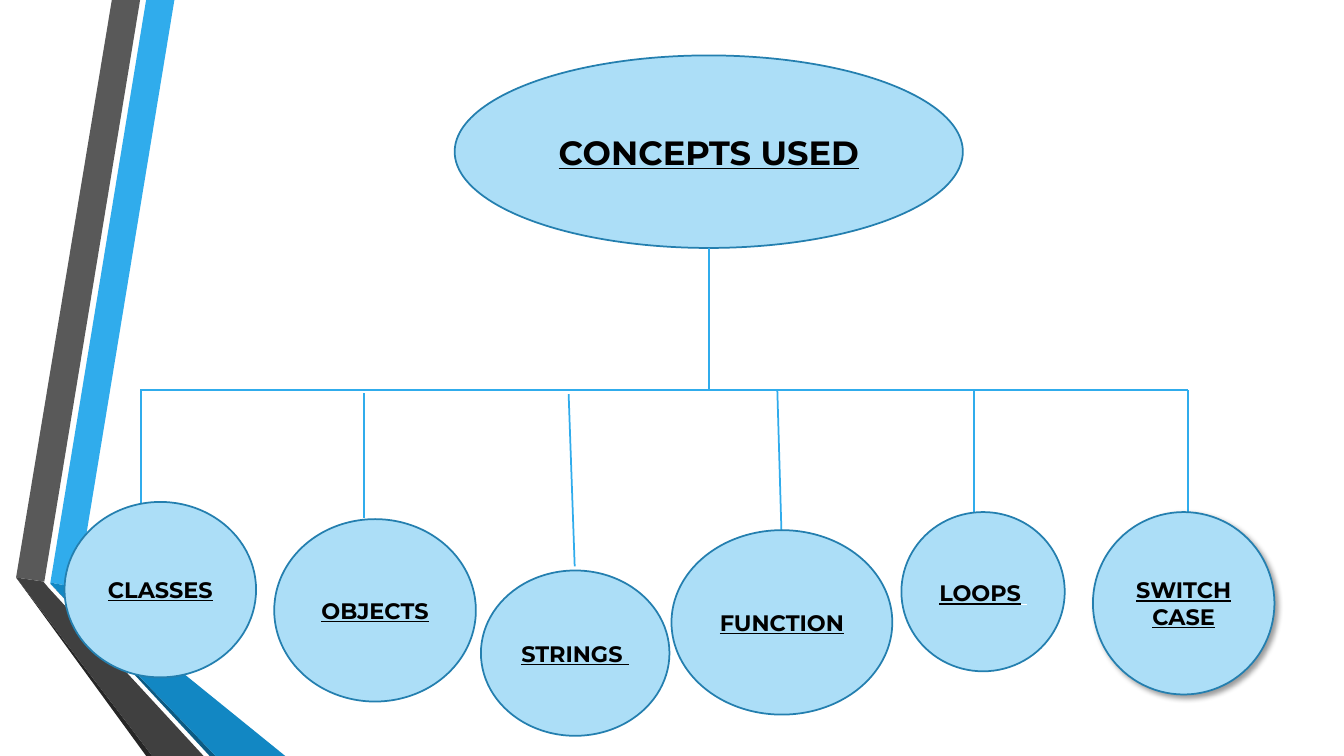
from dataclasses import dataclass

from lxml import etree
from pptx import Presentation
from pptx import util as u
from pptx.dml.color import RGBColor
from pptx.enum import shapes, text
from pptx.oxml import ns

ACCENT = "30ACEC"
BUBBLE_FILL = "ACDEF7"
BUBBLE_LINE = "247FAF"
BAR_Y = 3.87

Point = tuple[float, float]


@dataclass
class Ribbon:
    color: str
    points: list[Point]


@dataclass
class Bubble:
    label: str
    left: float
    top: float
    width: float
    height: float
    size: int = 16
    shadow: bool = False


@dataclass
class Line:
    start: Point
    end: Point
    width: float = 1.25


RIBBONS = [
    Ribbon(ACCENT, [(0.5, 5.78), (0.77, 5.83), (1.73, 0), (1.45, 0)]),
    Ribbon("595959", [(1.39, 0), (1.11, 0), (0.16, 5.73), (0.44, 5.77)]),
    Ribbon("262626", [(0.16, 5.73), (1.45, 7.5), (1.51, 7.5)]),
    Ribbon("0C5A82", [(0.5, 5.79), (2.08, 7.5), (2.14, 7.5)]),
    Ribbon("1287C3", [(0.5, 5.79), (2.14, 7.5), (2.83, 7.5), (0.77, 5.83), (0.5, 5.78)]),
    Ribbon("404040", [(2.02, 7.5), (0.48, 5.83), (0.43, 5.77), (0.16, 5.73), (1.51, 7.5)]),
]

ROOT = Bubble("CONCEPTS USED", 4.51, 0.55, 5.04, 1.91, size=24)
LOOPS = Bubble("LOOPS", 8.94, 5.08, 1.62, 1.58)
CONCEPTS = [
    Bubble("CLASSES", 0.64, 4.98, 1.9, 1.74),
    Bubble("OBJECTS", 2.72, 5.15, 2, 1.81),
    Bubble("STRINGS ", 4.77, 5.66, 1.87, 1.64),
    Bubble("FUNCTION", 6.66, 5.26, 2.19, 1.83),
    LOOPS,
    Bubble("SWITCH CASE", 10.84, 5.08, 1.8, 1.81, shadow=True),
]

LINES = [
    Line((7.03, 2.46), (7.03, 3.88), width=1.75),
    Line((1.39, BAR_Y), (11.78, BAR_Y)),
    Line((1.4, BAR_Y), (1.4, 4.99)),
    Line((3.61, 3.9), (3.61, 5.14)),
    Line((5.64, 3.91), (5.7, 5.62)),
    Line((7.71, 3.88), (7.75, 5.26)),
    Line((9.66, BAR_Y), (9.66, 5.11)),
    Line((11.78, BAR_Y), (11.78, 5.11)),
]


def rgb(color: str) -> RGBColor:
    return RGBColor.from_string(color)


def add_text(paragraph, content: str, *, size: int, font: str = "Montserrat",
             color: str = "000000") -> None:
    run = paragraph.add_run()
    run.text = content
    run.font.name = font
    run.font.size = u.Pt(size)
    run.font.bold = True
    run.font.underline = True
    run.font.color.rgb = rgb(color)


def add_drop_shadow(shape) -> None:
    effects = shape._element.spPr.find(ns.qn("a:effectLst"))
    shadow = etree.SubElement(effects, ns.qn("a:outerShdw"), blurRad=str(u.Pt(4)),
                              dist=str(u.Pt(3)), dir="2700000", algn="tl", rotWithShape="0")
    color = etree.SubElement(shadow, ns.qn("a:srgbClr"), val="000000")
    etree.SubElement(color, ns.qn("a:alpha"), val="40000")


def add_ribbon(slide, ribbon: Ribbon) -> None:
    first, *rest = [(u.Inches(x), u.Inches(y)) for x, y in ribbon.points]
    builder = slide.shapes.build_freeform(*first)
    builder.add_line_segments(rest, close=True)
    shape = builder.convert_to_shape()
    shape.shadow.inherit = False
    shape.fill.solid()
    shape.fill.fore_color.rgb = rgb(ribbon.color)
    shape.line.fill.background()


def add_line(slide, line: Line) -> None:
    ends = [u.Inches(value) for value in (*line.start, *line.end)]
    connector = slide.shapes.add_connector(shapes.MSO_CONNECTOR.STRAIGHT, *ends)
    connector.line.color.rgb = rgb(ACCENT)
    connector.line.width = u.Pt(line.width)
    etree.SubElement(connector._element.spPr, ns.qn("a:effectLst"))


def add_bubble(slide, bubble: Bubble):
    """Draw a labelled ellipse and return its paragraph."""
    box = [u.Inches(value) for value in (bubble.left, bubble.top, bubble.width, bubble.height)]
    shape = slide.shapes.add_shape(shapes.MSO_SHAPE.OVAL, *box)
    shape.shadow.inherit = False
    shape.fill.solid()
    shape.fill.fore_color.rgb = rgb(BUBBLE_FILL)
    shape.line.color.rgb = rgb(BUBBLE_LINE)
    shape.line.width = u.Pt(1.25)
    if bubble.shadow:
        add_drop_shadow(shape)
    frame = shape.text_frame
    frame.word_wrap = True
    frame.vertical_anchor = text.MSO_ANCHOR.MIDDLE
    paragraph = frame.paragraphs[0]
    paragraph.alignment = text.PP_ALIGN.CENTER
    add_text(paragraph, bubble.label, size=bubble.size)
    return paragraph


def main() -> None:
    presentation = Presentation()
    presentation.slide_width = u.Inches(13.33)
    presentation.slide_height = u.Inches(7.5)
    slide = presentation.slides.add_slide(presentation.slide_layouts[6])
    for ribbon in RIBBONS:
        add_ribbon(slide, ribbon)
    add_bubble(slide, ROOT)
    for line in LINES:
        add_line(slide, line)
    for concept in CONCEPTS:
        paragraph = add_bubble(slide, concept)
        if concept is LOOPS:
            add_text(paragraph, " ", size=18, font="Cabin", color="FFFFFF")
    presentation.save("out.pptx")


if __name__ == "__main__":
    main()
